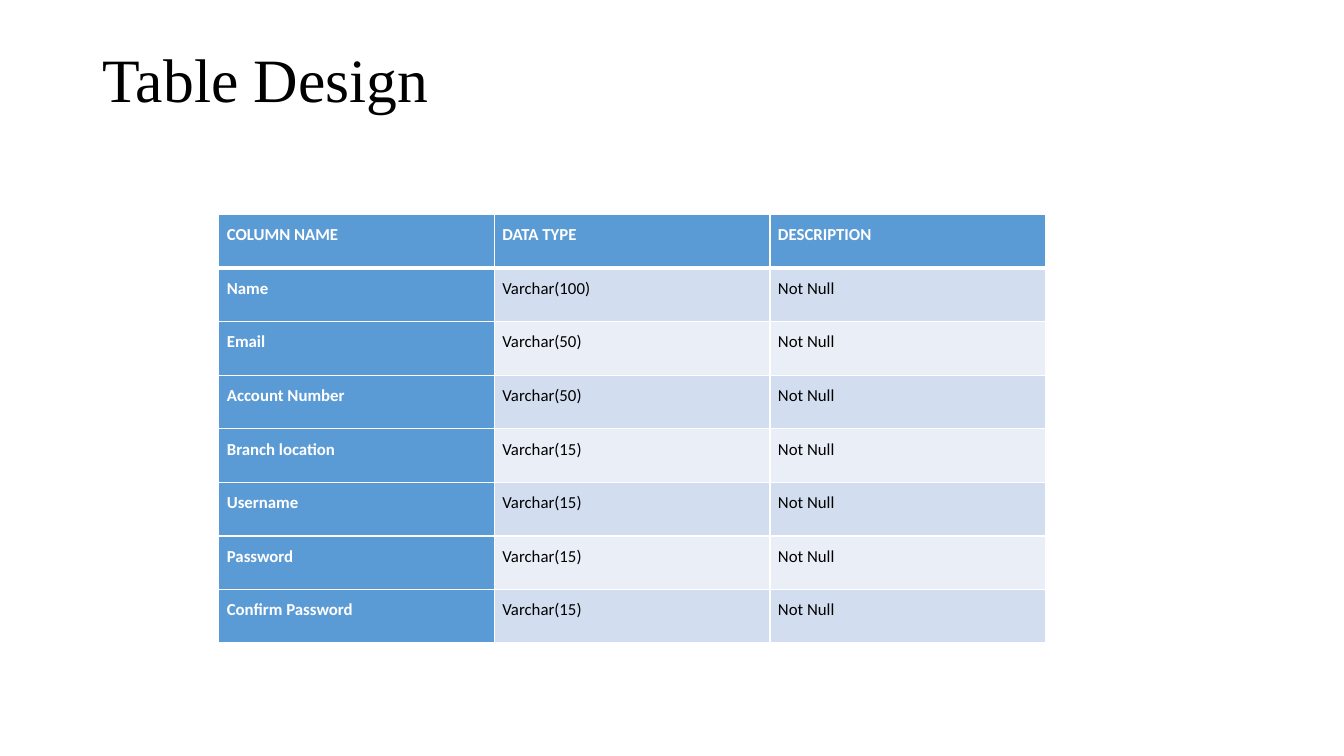
from pptx import Presentation
from pptx.dml.color import RGBColor
from pptx.enum.text import MSO_ANCHOR as Anchor, PP_ALIGN as Align
from pptx.oxml import parse_xml
from pptx.oxml.ns import nsdecls
from pptx.util import Inches, Pt

BLACK, WHITE, BLUE = "000000", "FFFFFF", "5B9BD5"
BANDS = ("D2DEEF", "EAEFF7")
HEADINGS = ("COLUMN NAME", "DATA TYPE", "DESCRIPTION")
FIELDS = (
    ("Name", 100),
    ("Email", 50),
    ("Account Number", 50),
    ("Branch location", 15),
    ("Username", 15),
    ("Password", 15),
    ("Confirm Password", 15),
)


def color(value):
    return RGBColor.from_string(value)


def write(frame, text, *, font, size, ink=BLACK, bold=False,
          align=Align.LEFT, spacing=1.0, after=0):
    frame.word_wrap = True
    para = frame.paragraphs[0]
    para.alignment = align
    para.line_spacing = spacing
    para.space_after = Pt(after)
    span = para.add_run()
    span.text = text
    span.font.name = font
    span.font.size = Pt(size)
    span.font.bold = bold
    span.font.color.rgb = color(ink)


def add_title(page, text):
    box = page.shapes.add_textbox(Inches(0.92), Inches(0.4), Inches(11.5), Inches(1.45))
    box.text_frame.vertical_anchor = Anchor.TOP
    box.text_frame.margin_top = Inches(0.09)
    write(box.text_frame, text, font="Times New Roman", size=44, spacing=0.9)


def set_borders(cell, bottom):
    properties = cell._tc.get_or_add_tcPr()
    for side, width in (("L", 1), ("R", 1), ("T", 1), ("B", bottom)):
        properties.append(parse_xml(
            f'<a:ln{side} {nsdecls("a")} w="{Pt(width)}"><a:solidFill>'
            f'<a:srgbClr val="{WHITE}"/></a:solidFill></a:ln{side}>'))


def format_cell(cell, text, *, fill, strong, bottom):
    cell.margin_left = cell.margin_right = Inches(0.08)
    cell.margin_top = cell.margin_bottom = 0
    set_borders(cell, bottom)
    cell.fill.solid()
    cell.fill.fore_color.rgb = color(fill)
    write(cell.text_frame, text, font="Calibri", size=12, bold=strong,
          ink=WHITE if strong else BLACK, align=Align.JUSTIFY, spacing=1.5, after=4.6)


def add_field_table(page):
    rows = [HEADINGS] + [(name, f"Varchar({length})", "Not Null") for name, length in FIELDS]
    table = page.shapes.add_table(
        len(rows), len(HEADINGS), Inches(2.17), Inches(2.13), Inches(8.2), Inches(4.25)).table
    for r, row in enumerate(rows):
        for c, text in enumerate(row):
            strong = r == 0 or c == 0
            format_cell(table.cell(r, c), text, strong=strong,
                        fill=BLUE if strong else BANDS[(r - 1) % 2],
                        bottom=3 if r == 0 else 1)


def main():
    deck = Presentation()
    deck.slide_width, deck.slide_height = Inches(13.33), Inches(7.5)
    page = deck.slides.add_slide(deck.slide_layouts[6])
    add_title(page, "Table Design")
    add_field_table(page)
    deck.save("out.pptx")


main()
